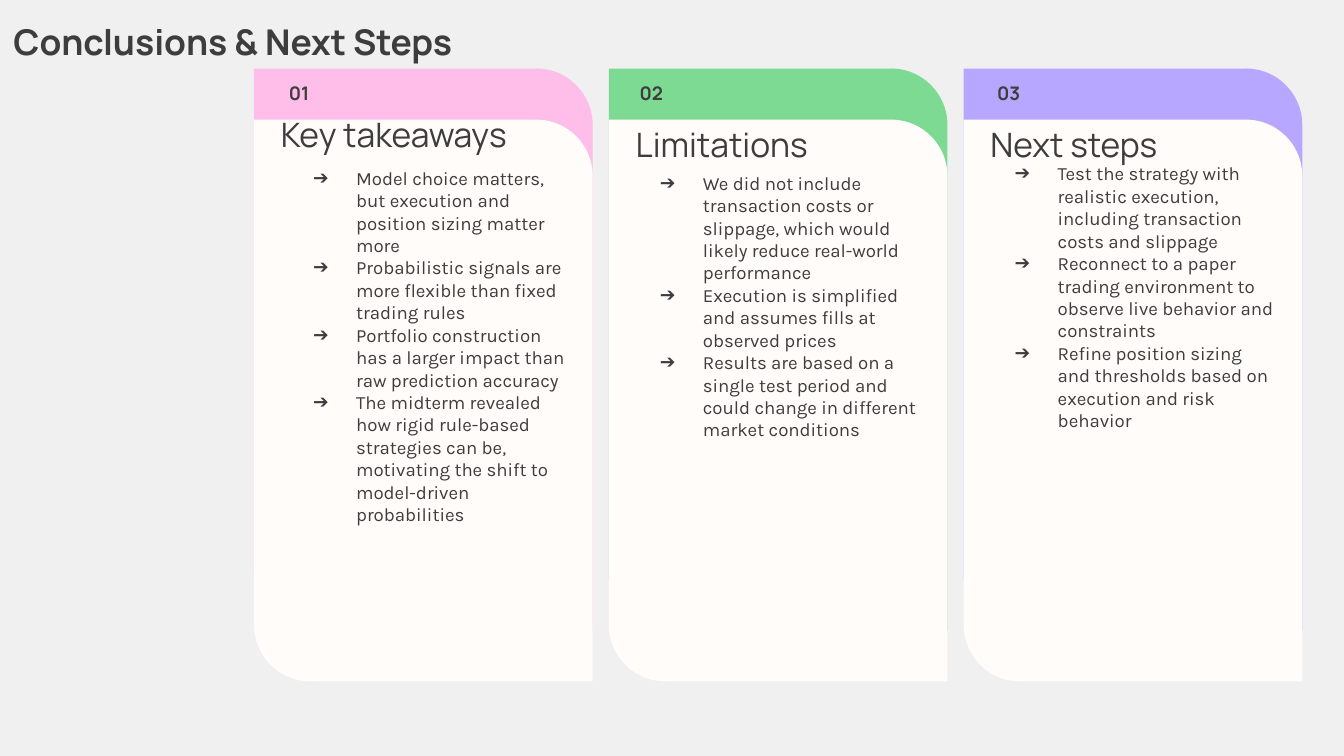
from dataclasses import dataclass

from lxml import etree
from pptx import Presentation
from pptx.dml.color import RGBColor
from pptx.enum.shapes import MSO_SHAPE
from pptx.enum.text import MSO_ANCHOR, MSO_AUTO_SIZE, PP_ALIGN
from pptx.oxml.ns import qn
from pptx.util import Inches, Pt

CARD = MSO_SHAPE.ROUND_2_DIAG_RECTANGLE
TOP, BOTTOM = MSO_ANCHOR.TOP, MSO_ANCHOR.BOTTOM
NO_FIT = MSO_AUTO_SIZE.NONE
LEFT = PP_ALIGN.LEFT

GREY = RGBColor(0xF0, 0xF0, 0xF0)
INK = RGBColor(0x3D, 0x3D, 0x3D)
PAPER = RGBColor(0xFF, 0xFC, 0xFA)
PINK = RGBColor(0xFF, 0xBD, 0xE9)
GREEN = RGBColor(0x7D, 0xDA, 0x92)
PURPLE = RGBColor(0xB8, 0xA7, 0xFF)

HEAD_FONT, BODY_FONT = "Manrope", "Karla"

# Card grid, in inches
FIRST_X, PITCH = 1.89, 2.64
CARD_W, CARD_H = 2.52, 4.18
TAB_Y, PAPER_Y = 0.51, 0.89
HEADING_Y, NUMBER_Y = 0.88, 0.61
COMPARISON_LAYOUT = 4


@dataclass
class Column:
    heading: str
    color: RGBColor
    points: list[str]
    body_y: float
    body_h: float = 2.32
    body_dx: float = 0
    number_dx: float = 0.05
    spacing: float = 1.15


COLUMNS = [
    Column("Key takeaways", PINK, [
        "Model choice matters, but execution and position sizing matter more",
        "Probabilistic signals are more flexible than fixed trading rules",
        "Portfolio construction has a larger impact than raw prediction accuracy",
        "The midterm revealed how rigid rule-based strategies can be, "
        "motivating the shift to model-driven probabilities",
    ], 1.54, body_h=2.67, body_dx=0.06, number_dx=0.06, spacing=0.9),
    Column("Limitations", GREEN, [
        "We did not include transaction costs or slippage, which would "
        "likely reduce real-world performance",
        "Execution is simplified and assumes fills at observed prices",
        "Results are based on a single test period and could change in "
        "different market conditions",
    ], 1.26, number_dx=0.03),
    Column("Next steps", PURPLE, [
        "Test the strategy with realistic execution, including transaction "
        "costs and slippage",
        "Reconnect to a paper trading environment to observe live behavior "
        "and constraints",
        "Refine position sizing and thresholds based on execution and risk "
        "behavior",
    ], 1.19),
]


def add_card(slide, x: float, y: float, color: RGBColor) -> None:
    sp = slide.shapes.add_shape(CARD, Inches(x), Inches(y),
                                Inches(CARD_W), Inches(CARD_H))
    sp.adjustments[0], sp.adjustments[1] = 0.167, 0
    sp._element.spPr.find(qn("a:xfrm")).set("flipH", "1")
    sp.fill.solid()
    sp.fill.fore_color.rgb = color
    sp.line.fill.background()
    sp.shadow.inherit = False


def write(sp, box: tuple, insets: tuple, lines: list[str], size: float,
          font: str = HEAD_FONT, bold: bool = False, spacing: float = 1.0,
          anchor=TOP) -> None:
    """Place a text shape and fill it with evenly formatted paragraphs."""
    sp.left, sp.top, sp.width, sp.height = map(Inches, box)
    tf = sp.text_frame
    tf.word_wrap, tf.auto_size, tf.vertical_anchor = True, NO_FIT, anchor
    (tf.margin_left, tf.margin_top,
     tf.margin_right, tf.margin_bottom) = map(Inches, insets)
    tf.text = "\n".join(lines)
    for p in tf.paragraphs:
        p.alignment, p.line_spacing = LEFT, spacing
        p.space_before = p.space_after = Pt(0)
        p.font.size, p.font.name, p.font.bold = Pt(size), font, bold
        p.font.color.rgb = INK


def add_arrow_bullets(sp) -> None:
    for p in sp.text_frame.paragraphs:
        pPr = p._p.get_or_add_pPr()
        pPr.set("marL", str(Inches(0.5)))
        pPr.set("indent", str(Inches(-0.32)))
        bullet_color = etree.Element(qn("a:buClr"))
        etree.SubElement(bullet_color, qn("a:srgbClr"), val=str(INK))
        bullet = etree.Element(qn("a:buChar"), char="➔")
        # Bullets come after spacing and before the default run properties
        for element in (bullet_color, bullet):
            pPr.find(qn("a:defRPr")).addprevious(element)


def add_column(slide, index: int, col: Column, body) -> None:
    x = FIRST_X + index * PITCH
    add_card(slide, x, TAB_Y, col.color)
    add_card(slide, x, PAPER_Y, PAPER)

    # Bring the list placeholder in front of its card
    slide.shapes._spTree.append(body._element)
    write(body, (x + col.body_dx, col.body_y, CARD_W, col.body_h),
          (0.2, 0, 0.2, 0.3), col.points, 10, BODY_FONT, anchor=BOTTOM)
    add_arrow_bullets(body)

    heading = slide.shapes.add_textbox(0, 0, 0, 0)
    write(heading, (x, HEADING_Y, 2.26, 0.3), (0.2, 0, 0.2, 0),
          [col.heading], 18, spacing=col.spacing)
    number = slide.shapes.add_textbox(0, 0, 0, 0)
    write(number, (x + col.number_dx, NUMBER_Y, 1.47, 0.17),
          (0.2, 0, 0.1, 0), [f"{index + 1:02}"], 10, bold=True)


def main() -> None:
    prs = Presentation()
    prs.slide_width, prs.slide_height = Inches(10), Inches(5.625)
    slide = prs.slides.add_slide(prs.slide_layouts[COMPARISON_LAYOUT])
    slide.background.fill.solid()
    slide.background.fill.fore_color.rgb = GREY

    # The layout has a title and four bodies; the last one is not needed
    title, *bodies, spare = slide.placeholders
    spare._element.getparent().remove(spare._element)

    for i, (col, body) in enumerate(zip(COLUMNS, bodies)):
        add_column(slide, i, col, body)

    # Slide title
    slide.shapes._spTree.append(title._element)
    write(title, (0, 0, 4.43, 0.5), (0.1, 0.1, 0.1, 0.1),
          ["Conclusions & Next Steps"], 19, bold=True, spacing=1.15)

    prs.save("out.pptx")


if __name__ == "__main__":
    main()
